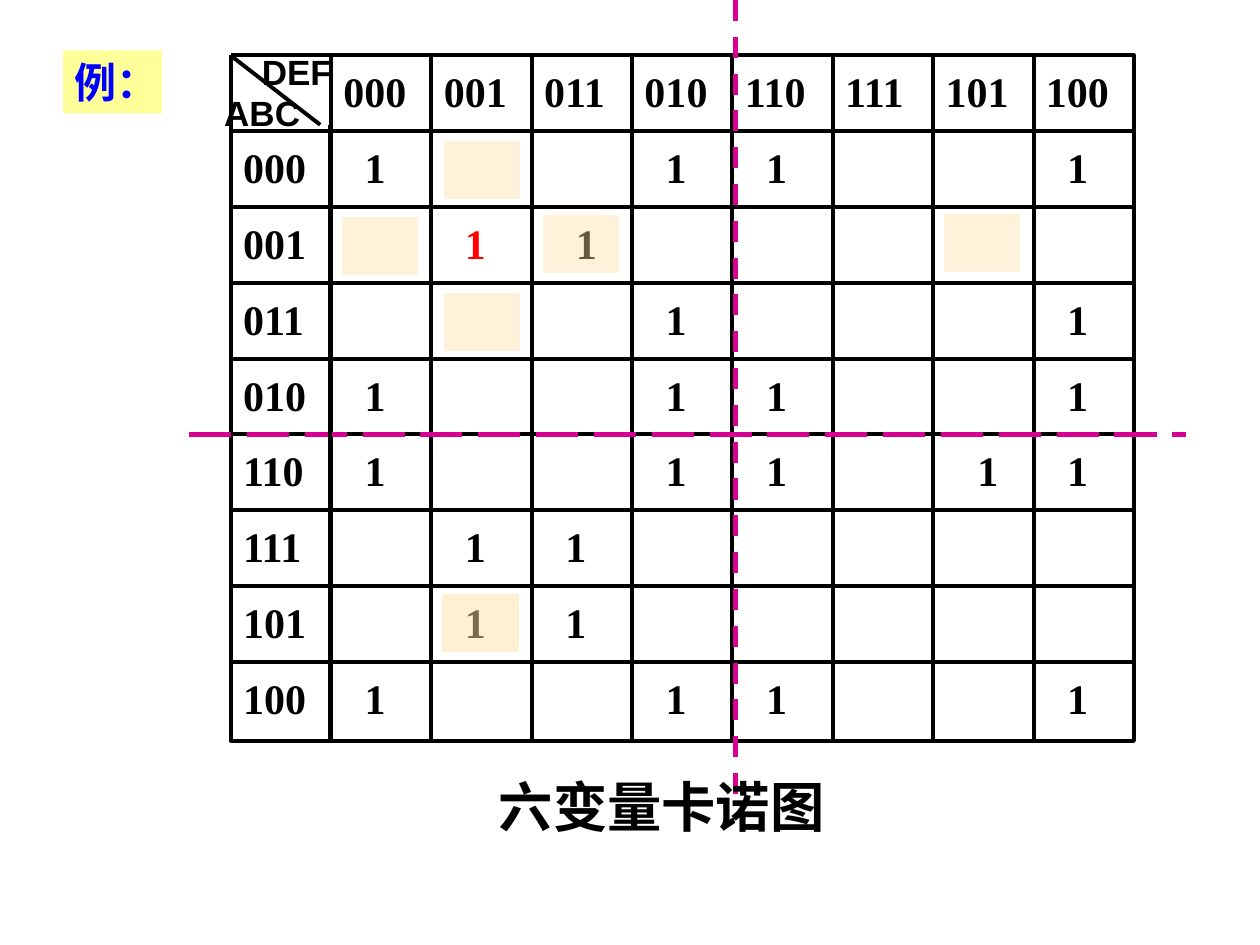
from lxml import etree
from pptx import Presentation
from pptx.dml.color import RGBColor
from pptx.enum.dml import MSO_LINE
from pptx.enum.shapes import MSO_CONNECTOR, MSO_SHAPE
from pptx.enum.text import MSO_ANCHOR, PP_ALIGN
from pptx.oxml.ns import qn
from pptx.util import Pt

LEFT, CENTER = PP_ALIGN.LEFT, PP_ALIGN.CENTER
TOP, MIDDLE = MSO_ANCHOR.TOP, MSO_ANCHOR.MIDDLE
SOLID, DASH, LONG = MSO_LINE.SOLID, MSO_LINE.DASH, MSO_LINE.LONG_DASH
RECT, LINE = MSO_SHAPE.RECTANGLE, MSO_CONNECTOR.STRAIGHT
BLACK, PINK, SAND = "000000", "D60093", "FFE0A3"


def tint(code):
    return RGBColor.from_string(code)


def write(frame, text, size=24, face="Times New Roman", color=BLACK,
          align=LEFT, anchor=TOP, indent=7.2, above=3.6):
    frame.word_wrap = True
    frame.vertical_anchor = anchor
    frame.margin_left = Pt(indent)
    frame.margin_top = Pt(above)
    para = frame.paragraphs[0]
    para.alignment = align
    run = para.add_run()
    run.text = text
    run.font.size = Pt(size)
    run.font.name = face
    run.font.bold = True
    run.font.color.rgb = tint(color)


deck = Presentation()
deck.slide_width, deck.slide_height = Pt(720), Pt(540)
slide = deck.slides.add_slide(deck.slide_layouts[6])
shapes = slide.shapes

for text, left, top in [("DEF", 142.5, 25.2), ("ABC", 121, 49)]:
    box = shapes.add_textbox(Pt(left), Pt(top), Pt(73.4), Pt(31))
    write(box.text_frame, text, size=20, face="Arial")

codes = ["000", "001", "011", "010", "110", "111", "101", "100"]
marks = ["1..11..1", ".11.....", "...1...1", "1..11..1",
         "1..11.11", ".11.....", ".11.....", "1..11..1"]
rows = [[""] + codes]
for code, mark in zip(codes, marks):
    rows.append([code] + list(mark.replace(".", " ")))
wide = {(2, 3), (5, 7)}
red = (2, 2)

x, y, wd, ht = 131.8, 31.7, 57.35, 43.3
xs = [x + wd * i for i in range(10)]
ys = [y + ht * i for i in range(9)] + [y + ht * 9 + 2]

for r, row in enumerate(rows):
    for c, text in enumerate(row):
        if r == c == 0:
            continue
        cell = shapes.add_shape(RECT, Pt(xs[c]), Pt(ys[r]), Pt(wd),
                                Pt(ys[r + 1] - ys[r]))
        cell.shadow.inherit = False
        cell.fill.background()
        cell.line.color.rgb = tint(BLACK)
        cell.line.width = Pt(2.25)
        if text.strip():
            indent = 7.2
            if r and c:
                indent = 25.2 if (r, c) in wide else 19.2
            write(cell.text_frame, text, indent=indent, above=6,
                  color="FF0000" if (r, c) == red else BLACK)

rules = [(x, y, 183, 71.3, BLACK, 2.25, SOLID)]
for i in [0, 2, 3, 4, 5, 6, 7, 8]:
    rules.append((x, ys[i], xs[9], ys[i], BLACK, 2.25, SOLID))
for left in xs:
    rules.append((left, y, left, ys[9], BLACK, 2.25, SOLID))
rules += [(108, 248.4, 678, 248.4, PINK, 3, LONG),
          (420.2, 0, 420.2, 458.6, PINK, 3, DASH),
          (188.6, 71.3, 188.6, ys[9], BLACK, 2.25, SOLID)]
for x1, y1, x2, y2, color, width, dash in rules:
    line = shapes.add_connector(LINE, Pt(x1), Pt(y1), Pt(x2), Pt(y2))
    line.line.color.rgb = tint(color)
    line.line.width = Pt(width)
    line.line.dash_style = dash
    etree.SubElement(line._element.spPr, qn("a:effectLst"))

label = shapes.add_shape(RECT, Pt(36), Pt(28.8), Pt(56.5), Pt(36))
label.shadow.inherit = False
label.fill.solid()
label.fill.fore_color.rgb = tint("FFFF99")
label.line.fill.background()
write(label.text_frame, "例：", face="Arial", color="0000FF",
      anchor=MIDDLE, indent=6.7)

for left, top, alpha in [(253.2, 80.2, 40), (253.2, 167.1, 40),
                         (310, 122.6, 40), (195, 123.9, 40),
                         (538.8, 121.9, 40), (252.5, 339.2, 48)]:
    patch = shapes.add_shape(RECT, Pt(left), Pt(top), Pt(44.4), Pt(33.8))
    patch.shadow.inherit = False
    patch.fill.solid()
    patch.fill.fore_color.rgb = tint(SAND)
    shade = patch._element.spPr.find(qn("a:solidFill"))[0]
    etree.SubElement(shade, qn("a:alpha"), val=str(alpha * 1000))
    patch.line.color.rgb = tint("FFFFFF")
    patch.line.width = Pt(0.75)

title = shapes.add_textbox(Pt(18), Pt(438), Pt(720), Pt(44.6))
write(title.text_frame, "六变量卡诺图", size=31, face="Arial",
      align=CENTER, anchor=MIDDLE)

deck.save("out.pptx")
